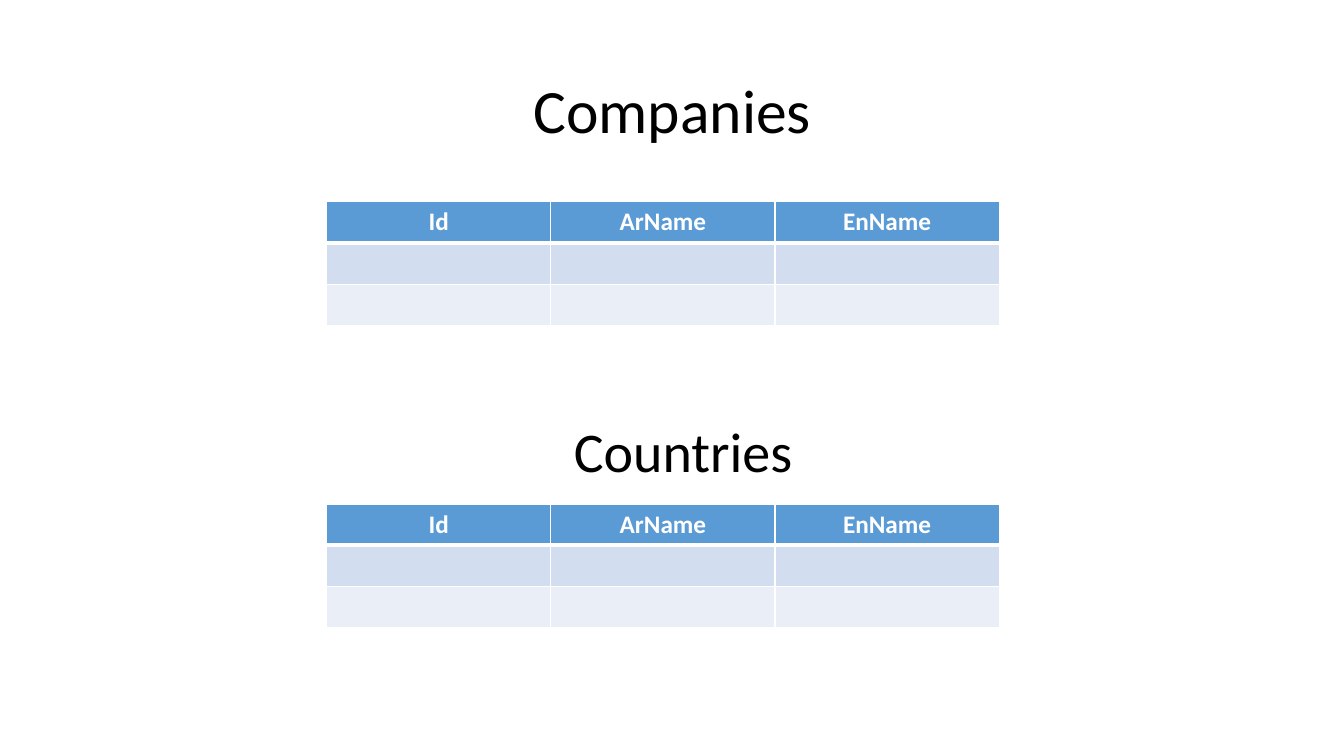
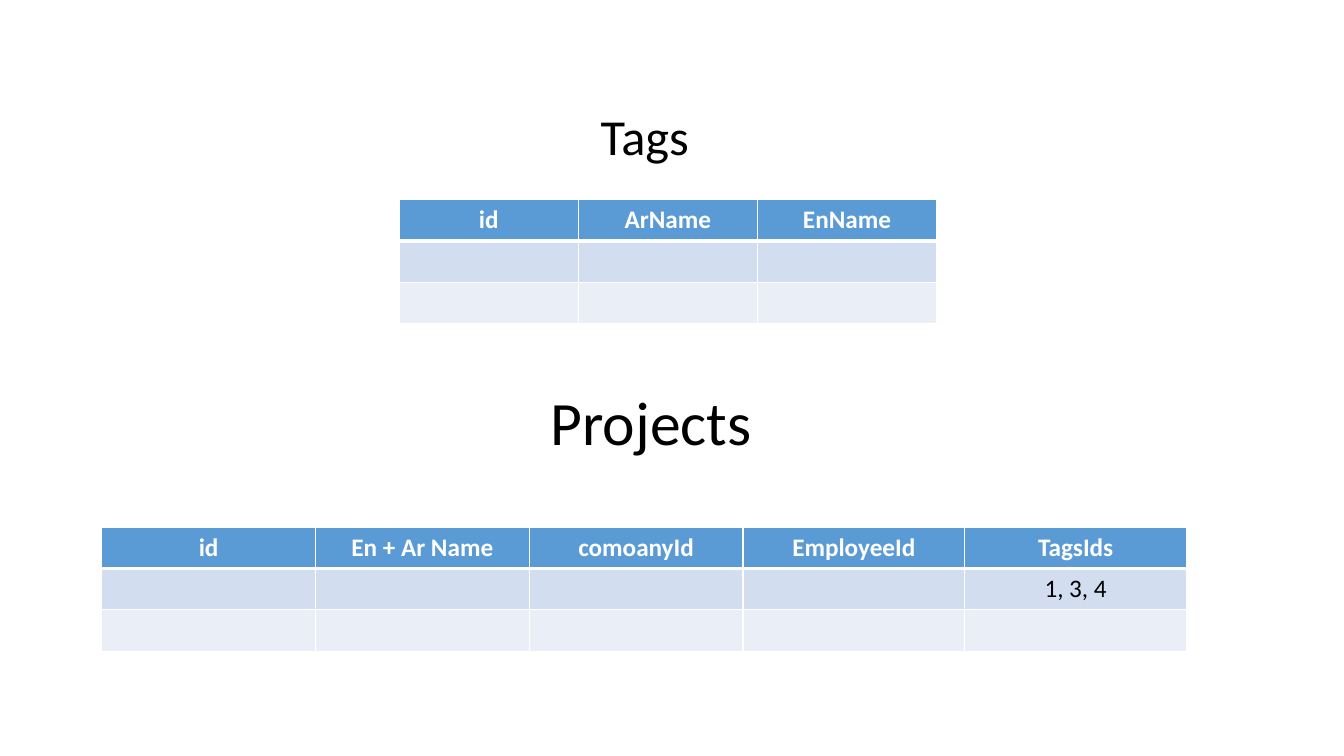
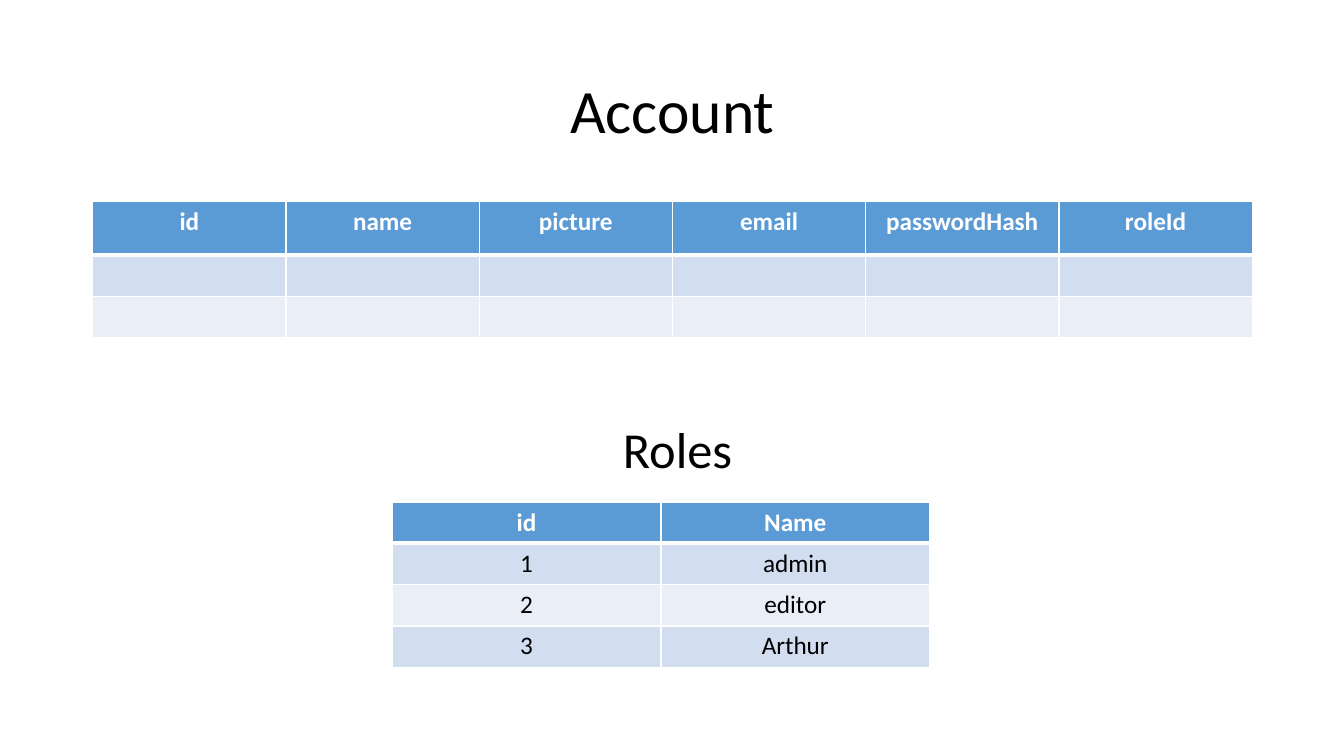
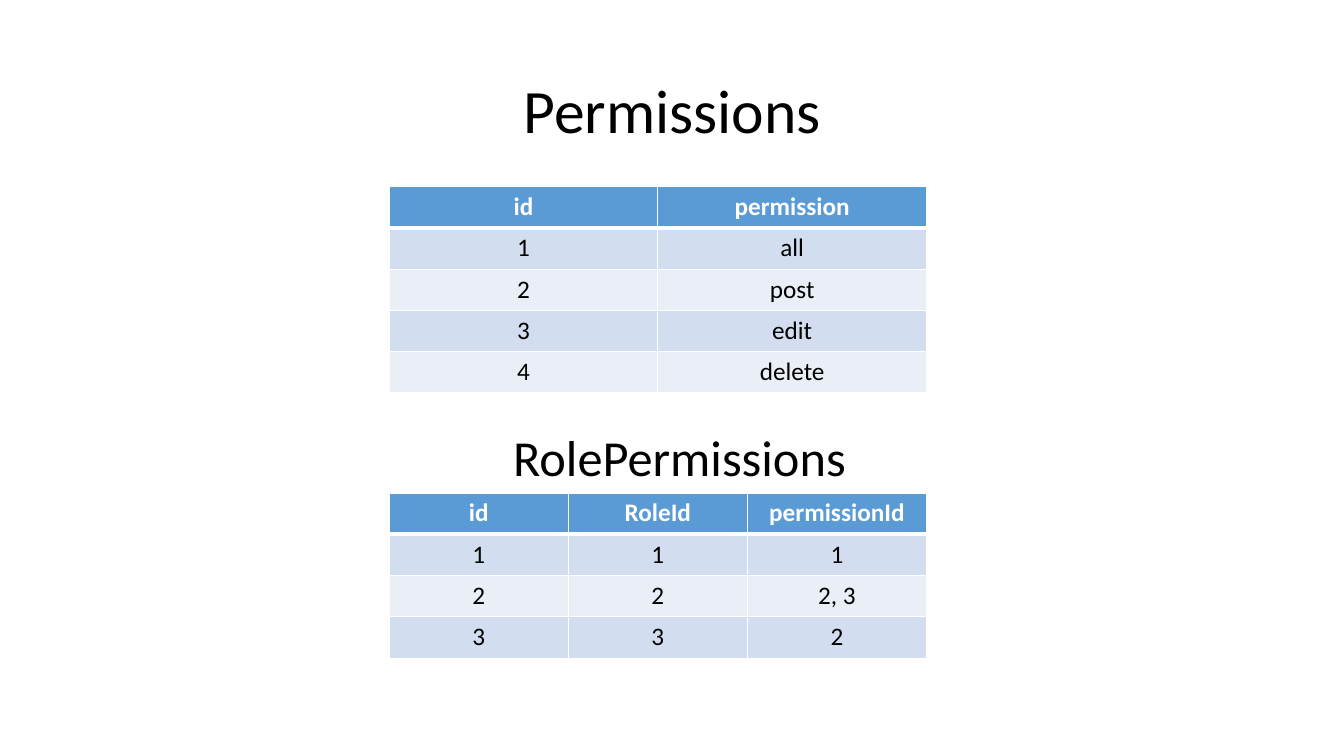
from lxml.etree import SubElement
from pptx import Presentation
from pptx.dml.color import RGBColor
from pptx.enum.text import MSO_ANCHOR, MSO_AUTO_SIZE, PP_ALIGN
from pptx.oxml.ns import qn
from pptx.util import Inches, Pt

# Shared look
FONT = "Calibri"
BLACK = RGBColor(0x00, 0x00, 0x00)
WHITE = RGBColor(0xFF, 0xFF, 0xFF)
HEADER_BLUE = RGBColor(0x5B, 0x9B, 0xD5)
BAND_FILLS = [RGBColor(0xD2, 0xDE, 0xEF), RGBColor(0xEA, 0xEF, 0xF7)]
ROW_HEIGHT = 0.41
TITLE_BOX = (0.92, 0.4, 11.5, 1.45)
TITLE_SIZE = 44
SUBTITLE_SIZE = 36
EMPTY = []

# Each slide: headings (text, size, box) and
# tables (left, top, header height, column widths, rows)
SLIDES = [
    {
        "headings": [
            ("Companies", TITLE_SIZE, TITLE_BOX),
            ("Countries", 40, (5.58, 4.08, 2.39, 0.77)),
        ],
        "tables": [
            (3.24, top, ROW_HEIGHT, [6.67 / 3] * 3,
             [["Id", "ArName", "EnName"], EMPTY, EMPTY])
            for top in (2, 5)
        ],
    },
    {
        "headings": [
            ("Tags", SUBTITLE_SIZE, (5.85, 0.99, 1.09, 0.71)),
            ("Projects", TITLE_SIZE, (0.71, 3.5, 11.5, 1.45)),
        ],
        "tables": [
            (3.96, 1.98, ROW_HEIGHT, [5.33 / 3] * 3,
             [["id", "ArName", "EnName"], EMPTY, EMPTY]),
            (1.01, 5.23, ROW_HEIGHT, [2.12] * 3 + [2.2] * 2,
             [["id", "En + Ar Name", "comoanyId", "EmployeeId", "TagsIds"],
              ["", "", "", "", "1, 3, 4"], EMPTY]),
        ],
    },
    {
        "headings": [
            ("Account", TITLE_SIZE, TITLE_BOX),
            ("Roles", SUBTITLE_SIZE, (6.07, 4.1, 1.3, 0.71)),
        ],
        "tables": [
            (0.92, 2, 0.53, [11.5 / 6] * 6,
             [["id", "name", "picture", "email", "passwordHash", "roleId"],
              EMPTY, EMPTY]),
            (3.89, 4.98, ROW_HEIGHT, [5.33 / 2] * 2,
             [["id", "Name"], ["1", "admin"], ["2", "editor"],
              ["3", "Arthur"]]),
        ],
    },
    {
        "headings": [
            ("Permissions", TITLE_SIZE, TITLE_BOX),
            ("RolePermissions", SUBTITLE_SIZE, (4.97, 4.18, 3.54, 0.71)),
        ],
        "tables": [
            (3.86, 1.85, ROW_HEIGHT, [5.33 / 2] * 2,
             [["id", "permission"], ["1", "all"], ["2", "post"],
              ["3", "edit"], ["4", "delete"]]),
            (3.86, 4.89, ROW_HEIGHT, [5.33 / 3] * 3,
             [["id", "RoleId", "permissionId"], ["1", "1", "1"],
              ["2", "2", "2, 3"], ["3", "3", "2"]]),
        ],
    },
]


def write_centred(frame, text, size, color, bold=False):
    frame.text = text
    paragraph = frame.paragraphs[0]
    paragraph.alignment = PP_ALIGN.CENTER
    for run in paragraph.runs:
        run.font.name = FONT
        run.font.size = Pt(size)
        run.font.bold = bold
        run.font.color.rgb = color


def style_cell(cell, row_index):
    # White borders, thicker between the header and the first row
    properties = cell._tc.get_or_add_tcPr()
    thick_sides = {0: "lnB", 1: "lnT"}
    for side in ("lnL", "lnR", "lnT", "lnB"):
        width = 3 if thick_sides.get(row_index) == side else 1
        border = SubElement(properties, qn(f"a:{side}"), w=str(Pt(width)))
        line_fill = SubElement(border, qn("a:solidFill"))
        SubElement(line_fill, qn("a:srgbClr"), val=str(WHITE))
    cell.fill.solid()
    cell.fill.fore_color.rgb = (
        BAND_FILLS[(row_index - 1) % 2] if row_index else HEADER_BLUE)


prs = Presentation()
prs.slide_width = Inches(13.33)
prs.slide_height = Inches(7.5)

for content in SLIDES:
    slide = prs.slides.add_slide(prs.slide_layouts[6])

    # Headings
    for text, size, box in content["headings"]:
        heading = slide.shapes.add_textbox(*map(Inches, box)).text_frame
        write_centred(heading, text, size, BLACK)
        if size == TITLE_SIZE:
            heading.word_wrap = True
            heading.vertical_anchor = MSO_ANCHOR.MIDDLE
            heading.paragraphs[0].line_spacing = 0.9
        else:
            heading.word_wrap = False
            heading.auto_size = MSO_AUTO_SIZE.SHAPE_TO_FIT_TEXT

    # Tables
    for left, top, header_height, widths, rows in content["tables"]:
        height = header_height + ROW_HEIGHT * (len(rows) - 1)
        table = slide.shapes.add_table(
            len(rows), len(widths), Inches(left), Inches(top),
            Inches(sum(widths)), Inches(height)).table
        for column, width in zip(table.columns, widths):
            column.width = Inches(width)
        for row_index, values in enumerate(rows):
            is_header = row_index == 0
            table.rows[row_index].height = Inches(
                header_height if is_header else ROW_HEIGHT)
            for column_index in range(len(widths)):
                cell = table.cell(row_index, column_index)
                style_cell(cell, row_index)
                if values:
                    write_centred(cell.text_frame, values[column_index], 18,
                                  WHITE if is_header else BLACK, is_header)

prs.save("out.pptx")
